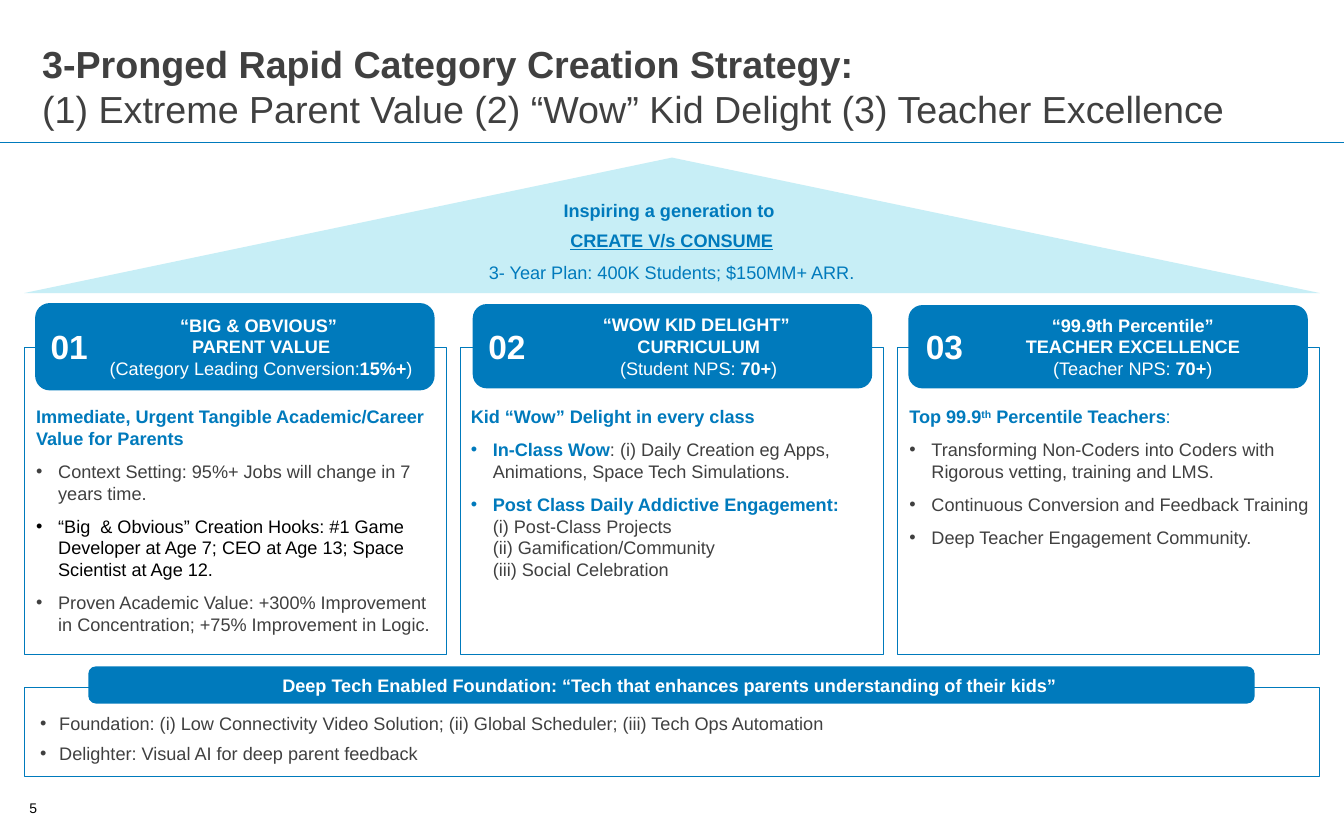
from lxml import etree
from pptx import Presentation
from pptx.dml.color import RGBColor
from pptx.enum.shapes import MSO_CONNECTOR, MSO_SHAPE
from pptx.enum.text import MSO_ANCHOR, PP_ALIGN
from pptx.oxml.ns import qn
from pptx.util import Inches, Pt

CENTER, RIGHT = PP_ALIGN.CENTER, PP_ALIGN.RIGHT
TOP, MIDDLE, BOTTOM = MSO_ANCHOR.TOP, MSO_ANCHOR.MIDDLE, MSO_ANCHOR.BOTTOM
RECT, ROUNDED, TRIANGLE = (MSO_SHAPE.RECTANGLE, MSO_SHAPE.ROUNDED_RECTANGLE,
                           MSO_SHAPE.ISOSCELES_TRIANGLE)
BLUE, PALE, GREY, BLACK, WHITE = "007ABC", "C7EEF6", "404040", "000000", "FFFFFF"

# Content: a paragraph is a list of (text, format) spans
BOLD = {"bold": True}
LEAD = {"bold": True, "color": BLUE}
PLAIN = {"color": GREY}

TITLE = [[("3-Pronged Rapid Category Creation Strategy: \n", BOLD),
          ("(1) Extreme Parent Value (2) “Wow” Kid Delight (3) Teacher Excellence", {})]]
VISION = [[("Inspiring a generation to ", BOLD)],
          [("CREATE V/s CONSUME", {"bold": True, "underline": True})]]
PLAN = [[("3- Year Plan: 400K Students; $150MM+ ARR.", {})]]
PILLARS = [
    {"number": "01", "banner": (0.35, 3.02, 3.98, 0.87), "indent": 0.42,
     "heading": [[("“BIG & OBVIOUS” \nPARENT VALUE\n", BOLD),
                  ("(Category Leading Conversion:", {}), ("15%+", BOLD), (")", {})]],
     "body_left": 0.36,
     "lead": [("Immediate, Urgent Tangible Academic/Career Value for Parents", LEAD)],
     "points": [
         [("Context Setting: 95%+ Jobs will change in 7 years time.", PLAIN)],
         [("“Big  & Obvious” Creation Hooks: #1 Game Developer at Age 7; "
           "CEO at Age 13; Space Scientist at Age 12.", {"color": BLACK})],
         [("Proven Academic Value: +300% Improvement in Concentration; "
           "+75% Improvement in Logic.", PLAIN)]]},
    {"number": "02", "banner": (4.71, 3.03, 3.98, 0.84), "indent": 0.42,
     "heading": [[("“WOW KID DELIGHT” ", BOLD)],
                 [("CURRICULUM\n", BOLD), ("(Student NPS: ", {}), ("70+", BOLD), (")", {})]],
     "body_left": 4.69,
     "lead": [("Kid “Wow” Delight in every class", LEAD)],
     "points": [
         [("In-Class Wow", LEAD),
          (": (i) Daily Creation eg Apps, Animations, Space Tech Simulations.", PLAIN)],
         [("Post Class Daily Addictive Engagement: \n", LEAD),
          ("(i) Post-Class Projects \n(ii) Gamification/Community \n"
           "(iii) Social Celebration", PLAIN)]]},
    {"number": "03", "banner": (9.05, 3.04, 3.98, 0.83), "indent": 0.39,
     "heading": [[("“99.9th Percentile”", BOLD)], [("TEACHER EXCELLENCE", BOLD)],
                 [("(Teacher NPS: ", {}), ("70+", BOLD), (")", {})]],
     "body_left": 9.06,
     "lead": [("Top 99.9", LEAD), ("th", {"bold": True, "color": BLUE, "raised": 30}),
              (" Percentile Teachers", LEAD), (":", {"color": BLUE})],
     "points": [
         [("Transforming Non-Coders into Coders with Rigorous vetting, "
           "training and LMS.", PLAIN)],
         [("Continuous Conversion and Feedback Training", PLAIN)],
         [("Deep Teacher Engagement Community.", PLAIN)]]},
]
FOUNDATION = [[("Deep Tech Enabled Foundation: “Tech that enhances parents "
                "understanding of their kids” ", BOLD)]]
FOUNDATION_POINTS = [
    [("Foundation: (i) Low Connectivity Video Solution; (ii) Global Scheduler; "
      "(iii) Tech Ops Automation", {})],
    [("Delighter: Visual AI for deep parent feedback", {})]]

deck = Presentation()
deck.slide_width, deck.slide_height = Inches(13.39), Inches(8.27)
page = deck.slides.add_slide(deck.slide_layouts[6])


def rgb(value):
    return RGBColor.from_string(value)


def set_indent(para, left, first=0, bullet=None):
    props = para._p.get_or_add_pPr()
    props.set("marL", str(Inches(left)))
    props.set("indent", str(Inches(first)))
    if bullet:
        etree.SubElement(props, qn("a:buFont")).set("typeface", "Arial")
        etree.SubElement(props, qn("a:buChar")).set("char", bullet)


def add_spans(para, spans, size, color):
    for text, style in spans:
        for index, line in enumerate(text.split("\n")):
            if index:
                para.add_line_break()
            if not line:
                continue
            span = para.add_run()
            span.text = line
            look = {"name": "Arial", "size": Pt(size), "bold": False, **style}
            span.font.color.rgb = rgb(look.pop("color", color))
            raised = look.pop("raised", 0)
            for name, value in look.items():
                setattr(span.font, name, value)
            if raised:
                span._r.get_or_add_rPr().set("baseline", str(raised * 1000))


def write(box, paras, size=13, color=BLUE, align=None, anchor=TOP, insets=(0, 0, 0, 0),
          before=0, after=0, indent=0, hang=0, first_bullet=0):
    frame = box.text_frame
    frame.word_wrap = True
    frame.vertical_anchor = anchor
    for side, inset in zip(("left", "top", "right", "bottom"), insets):
        setattr(frame, "margin_" + side, Inches(inset))
    for index, spans in enumerate(paras):
        para = frame.add_paragraph() if index else frame.paragraphs[0]
        if hang and index >= first_bullet:
            set_indent(para, hang, -hang, "•")
        elif indent:
            set_indent(para, indent)
        layout = {"alignment": align, "space_before": Pt(before if index else 0),
                  "space_after": Pt(after)}
        for name, value in layout.items():
            setattr(para, name, value)
        add_spans(para, spans, size, color)


def add_text(place, paras, **options):
    write(page.shapes.add_textbox(*map(Inches, place)), paras, **options)


def add_block(kind, place, fill, line=None):
    block = page.shapes.add_shape(kind, *map(Inches, place))
    block.shadow.inherit = False
    block.fill.solid()
    block.fill.fore_color.rgb = rgb(fill)
    if line:
        block.line.color.rgb = rgb(line)
        block.line.width = Pt(0.75)
    else:
        block.line.fill.background()
    return block


# Title, rule and page number
rule = page.shapes.add_connector(MSO_CONNECTOR.STRAIGHT, 0, Inches(1.42),
                                 deck.slide_width, Inches(1.42))
rule.line.color.rgb = rgb(BLUE)
rule.line.width = Pt(0.75)
etree.SubElement(rule._element.spPr, qn("a:effectLst"))
add_text((0.42, 0.4, 12.49, 0.91), TITLE, size=27, color=GREY, anchor=BOTTOM)
add_text((0.14, 7.98, 0.26, 0.15), [[("5", {})]], size=10, color=BLACK,
         align=RIGHT, anchor=BOTTOM, insets=(0, 0, 0.03, 0))

# Roof
add_block(TRIANGLE, (0.24, 1.57, 12.91, 1.35), PALE)
add_text((5.27, 1.98, 2.84, 0.52), VISION, align=CENTER, anchor=MIDDLE, before=6)
add_text((4.3, 2.6, 4.78, 0.22), PLAN, align=CENTER)

# Three pillars
for column, pillar in enumerate(PILLARS):
    add_block(RECT, (0.24 + 4.35 * column, 3.46, 4.21, 3.06), WHITE, BLUE)
    banner = add_block(ROUNDED, pillar["banner"], BLUE)
    write(banner, pillar["heading"], color=WHITE, align=CENTER, anchor=MIDDLE,
          insets=(0.2, 0.1, 0.1, 0.1), indent=pillar["indent"])
    add_text((0.48 + 4.36 * column, 3.25, 0.42, 0.4), [[(pillar["number"], BOLD)]],
             size=24, color=WHITE, align=CENTER, anchor=MIDDLE)
    add_text((pillar["body_left"], 4.04, 3.98, 2.31), [pillar["lead"]] + pillar["points"],
             before=6, after=2, hang=0.22, first_bullet=1)

# Foundation
add_block(RECT, (0.24, 6.85, 12.91, 0.89), WHITE, BLUE)
add_text((0.4, 7.1, 12.59, 0.52), FOUNDATION_POINTS, color=GREY, after=6, hang=0.19)
bar = add_block(ROUNDED, (0.88, 6.64, 11.62, 0.37), BLUE)
bar.adjustments[0] = 0.2
write(bar, FOUNDATION, color=WHITE, align=CENTER, anchor=MIDDLE, insets=(0.2, 0.1, 0.2, 0.1))

deck.save("out.pptx")
